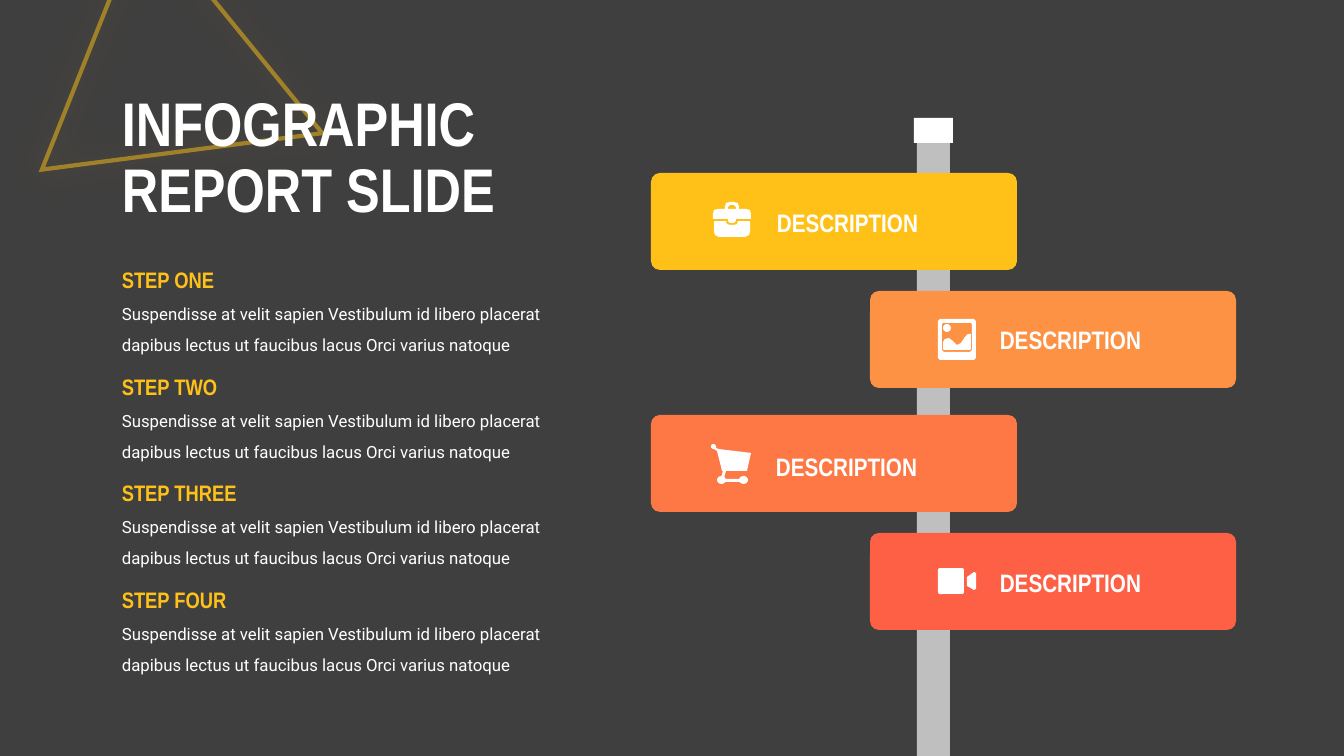
from lxml import etree
from pptx import Presentation
from pptx.dml.color import RGBColor
from pptx.enum.shapes import MSO_SHAPE
from pptx.enum.text import MSO_ANCHOR, MSO_AUTO_SIZE
from pptx.oxml.ns import qn
from pptx.util import Pt

RECT = MSO_SHAPE.RECTANGLE
ROUND = MSO_SHAPE.ROUNDED_RECTANGLE
OVAL = MSO_SHAPE.OVAL
TRIANGLE = MSO_SHAPE.ISOSCELES_TRIANGLE
TOP, MIDDLE = MSO_ANCHOR.TOP, MSO_ANCHOR.MIDDLE
GROW, FIXED = MSO_AUTO_SIZE.SHAPE_TO_FIT_TEXT, MSO_AUTO_SIZE.NONE

DARK = RGBColor(0x3F, 0x3F, 0x3F)
WHITE = RGBColor(0xFF, 0xFF, 0xFF)
GREY = RGBColor(0xBF, 0xBF, 0xBF)
YELLOW = RGBColor(0xFF, 0xC1, 0x18)
AMBER = RGBColor(0xFD, 0x91, 0x44)
ORANGE = RGBColor(0xFD, 0x78, 0x45)
RED = RGBColor(0xFE, 0x60, 0x46)

HEAD, BODY = "Arial Narrow", "Roboto"
WIDTH, HEIGHT = 1344, 756
SCALE = 12192000 / WIDTH  # EMU per px

BLURB = ("Suspendisse at velit sapien Vestibulum id libero placerat "
         "dapibus lectus ut faucibus lacus Orci varius natoque")
STEPS = [("STEP ONE", 261), ("STEP TWO", 368),
         ("STEP THREE", 474), ("STEP FOUR", 581)]


def emu(*px):
    return [round(n * SCALE) for n in px]


def paint(shape, color):
    shape.shadow.inherit = False
    shape.fill.solid()
    shape.fill.fore_color.rgb = color
    shape.line.fill.background()


def block(shapes, box, color=WHITE, kind=RECT, radius=0):
    shape = shapes.add_shape(kind, *emu(*box))
    if kind == ROUND:
        shape.adjustments[0] = radius / min(box[2:])
    paint(shape, color)


def outline(shapes, *loops):
    """Draw closed loops as one white shape; later loops cut holes."""
    pen = shapes.build_freeform(*loops[0][0], scale=SCALE)
    for i, loop in enumerate(loops):
        if i:
            pen.move_to(*loop[0])
        pen.add_line_segments(loop[1:], close=True)
    paint(pen.convert_to_shape(), WHITE)


def write(shapes, text, box, size, color=WHITE, font=HEAD, bold=True,
          lead=1.0, anchor=TOP, fit=GROW):
    frame = shapes.add_textbox(*emu(*box)).text_frame
    frame.word_wrap = True
    frame.auto_size = fit
    frame.vertical_anchor = anchor
    para = frame.paragraphs[0]
    para.text = text
    para.line_spacing = lead
    for run in para.runs:
        run.font.size = Pt(size)
        run.font.name = font
        run.font.bold = bold
        run.font.color.rgb = color


def add_alpha(color, percent):
    etree.SubElement(color, qn("a:alpha"), val=str(percent * 1000))


def glow_frame(shapes):
    shape = shapes.add_shape(TRIANGLE, *emu(70, -36, 275, 247))
    shape.rotation = 111.7
    shape.fill.background()
    shape.line.color.rgb = YELLOW
    shape.line.width = Pt(3)
    shape.shadow.inherit = False
    props = shape._element.spPr
    line = props.find(qn("a:ln"))
    add_alpha(line.find(".//" + qn("a:srgbClr")), 50)
    etree.SubElement(line, qn("a:miter"), lim="800000")
    glow = etree.SubElement(props.find(qn("a:effectLst")), qn("a:outerShdw"),
                            blurRad=str(Pt(25)), dist="0", dir="0",
                            algn="ctr", rotWithShape="0")
    add_alpha(etree.SubElement(glow, qn("a:srgbClr"), val=str(YELLOW)), 35)


def case_icon(shapes):
    outline(shapes, [(714, 221), (726, 221), (727, 224), (730, 225),
                     (734, 225), (737, 224), (738, 221), (750, 221),
                     (750, 232), (749, 235), (745, 237), (719, 237),
                     (715, 235), (714, 232)])
    outline(shapes,
            [(718, 209), (725, 209), (725, 207), (726, 203), (730, 202),
             (734, 202), (738, 203), (739, 207), (739, 209), (746, 209),
             (750, 210), (751, 214), (751, 219), (736, 219), (736, 221),
             (734, 223), (730, 223), (728, 221), (728, 219), (713, 219),
             (713, 214), (714, 210)],
            [(728, 207), (730, 205), (734, 205), (736, 207), (736, 209),
             (728, 209)])


def photo_icon(shapes):
    outline(shapes, [(943, 342), (945, 339), (949, 338), (953, 341),
                     (957, 345), (961, 343), (965, 337), (968, 334),
                     (971, 334), (971, 349), (970, 350), (944, 350),
                     (943, 349)])
    block(shapes, (943, 324, 8, 8), kind=OVAL)
    outline(shapes,
            [(940, 319), (974, 319), (976, 321), (976, 358), (974, 360),
             (940, 360), (938, 358), (938, 321)],
            [(943, 323), (971, 323), (972, 324), (972, 350), (970, 352),
             (944, 352), (942, 350), (942, 324)])


def cart_icon(shapes):
    outline(shapes, [(714, 446), (718, 449), (751, 453), (747, 471),
                     (726, 471), (724, 478), (721, 478), (723, 471),
                     (722, 471), (717, 451), (712, 448)])
    block(shapes, (711, 444, 5, 5), kind=OVAL)
    block(shapes, (724, 479, 17, 3))
    for left in (717, 739):
        block(shapes, (left, 476, 9, 8), kind=OVAL)


def video_icon(shapes):
    block(shapes, (938, 568, 26, 26), kind=ROUND, radius=2)
    outline(shapes, [(967, 577), (974, 572), (976, 573), (976, 589),
                     (974, 590), (967, 586)])


# Sign left and top, colour, label left and top, icon
SIGNS = [(651, 173, YELLOW, 767, 202, case_icon),
         (870, 291, AMBER, 990, 319, photo_icon),
         (651, 415, ORANGE, 766, 446, cart_icon),
         (870, 533, RED, 990, 562, video_icon)]


def main():
    deck = Presentation()
    deck.slide_width, deck.slide_height = emu(WIDTH, HEIGHT)
    slide = deck.slides.add_slide(deck.slide_layouts[6])
    slide.background.fill.solid()
    slide.background.fill.fore_color.rgb = DARK
    shapes = slide.shapes

    # Title
    glow_frame(shapes)
    write(shapes, "INFOGRAPHIC\nREPORT SLIDE", (112, 80, 566, 159), 44,
          lead=0.9, anchor=MIDDLE, fit=FIXED)

    # Signpost
    post = shapes.add_group_shape().shapes
    block(post, (917, 133, 33, 698), GREY)
    block(post, (914, 118, 39, 25))
    for left, top, color, x, y, icon in SIGNS:
        block(shapes, (left, top, 366, 97), color, ROUND, 9)
        icon(shapes.add_group_shape().shapes)
        write(shapes, "DESCRIPTION", (x, y, 190, 40), 18)

    # Steps
    for name, top in STEPS:
        write(shapes, BLURB, (112, top + 28, 454, 68), 12, font=BODY,
              bold=False, lead=1.5)
        write(shapes, name, (112, top, 247, 37), 16, YELLOW)

    deck.save("out.pptx")


if __name__ == "__main__":
    main()
